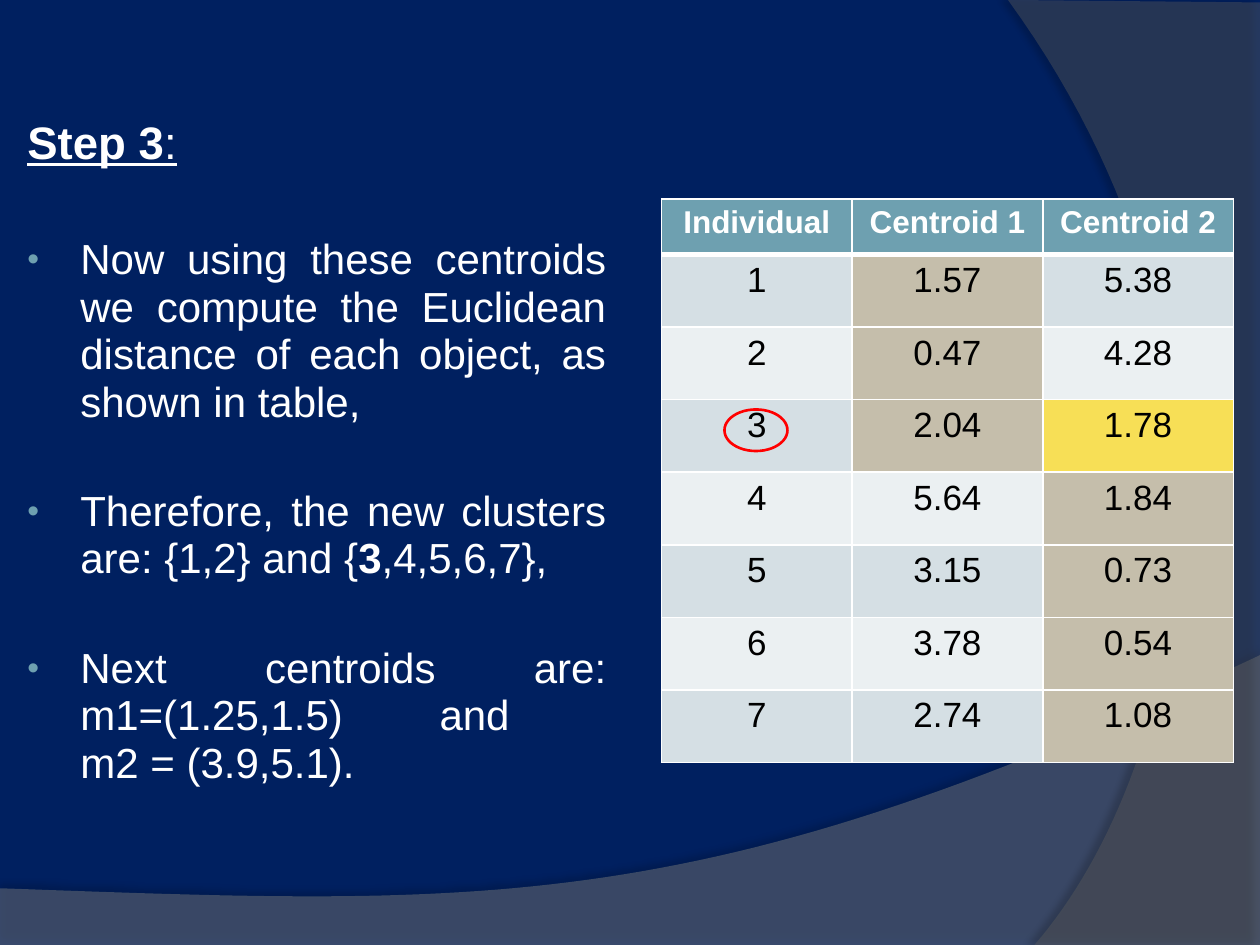
from dataclasses import dataclass

from lxml.etree import SubElement
from pptx import Presentation
from pptx.dml.color import RGBColor
from pptx.enum.shapes import MSO_SHAPE
from pptx.enum.text import MSO_ANCHOR, PP_ALIGN
from pptx.oxml.ns import qn
from pptx.slide import Slide
from pptx.table import _Cell
from pptx.text.text import _Paragraph
from pptx.util import Inches, Pt

NAVY = RGBColor(0x00, 0x20, 0x60)
WHITE = RGBColor(0xFF, 0xFF, 0xFF)
BLACK = RGBColor(0x00, 0x00, 0x00)
RED = RGBColor(0xFF, 0x00, 0x00)
TEAL = RGBColor(0x6E, 0xA0, 0xB0)
BAND_DARK = RGBColor(0xD5, 0xDF, 0xE4)
BAND_LIGHT = RGBColor(0xEB, 0xF0, 0xF2)
TAN = RGBColor(0xC5, 0xBE, 0xAB)
YELLOW = RGBColor(0xF7, 0xDF, 0x56)
GRAY = RGBColor(0x7F, 0x7F, 0x7F)
DARK_GRAY = RGBColor(0x5E, 0x5E, 0x5E)
FONT = "Arial"

Point = tuple[float, float]


@dataclass
class Swoosh:
    corners: list[Point]
    curve: list[Point]
    color: RGBColor
    opacity: int
    shadow_opacity: int
    shadow_distance: float
    shadow_angle: int


@dataclass
class Bullet:
    pieces: list[tuple[str, bool]]
    gap: float


@dataclass
class Distance:
    individual: int
    first: float
    second: float


SWOOSHES = [
    Swoosh([(0, 7.5), (10, 7.5)], [(10, 5.2), (5.59, 7.29), (3.91, 7.19), (0, 7.05)],
           GRAY, 45, 35, 3.5, 270),
    Swoosh([(10, 0.02), (10, 7.5)], [(8.21, 7.5), (9.35, 6.19), (10.18, 3), (8, 0)],
           DARK_GRAY, 40, 45, 4, 180),
]
BULLETS = [
    Bullet([("Now using these centroids we compute the Euclidean distance of each "
             "object, as shown in table,", False)], 38.5),
    Bullet([("Therefore, the new clusters are: {1,2} and {", False), ("3", True),
            (",4,5,6,7},", False)], 35.5),
    Bullet([("Next centroids are: m1=(1.25,1.5) and \vm2 = (3.9,5.1).", False)], 35.5),
]
HEADERS = ["Individual", "Centroid 1", "Centroid 2"]
DISTANCES = [
    Distance(1, 1.57, 5.38),
    Distance(2, 0.47, 4.28),
    Distance(3, 2.04, 1.78),
    Distance(4, 5.64, 1.84),
    Distance(5, 3.15, 0.73),
    Distance(6, 3.78, 0.54),
    Distance(7, 2.74, 1.08),
]
MOVED_INDIVIDUAL = 3


def curve_points(curve: list[Point], steps: int = 60) -> list[Point]:
    points = []
    for step in range(steps + 1):
        t = step / steps
        weights = ((1 - t) ** 3, 3 * t * (1 - t) ** 2, 3 * t ** 2 * (1 - t), t ** 3)
        points.append((sum(w * x for w, (x, _) in zip(weights, curve)),
                       sum(w * y for w, (_, y) in zip(weights, curve))))
    return points


def add_swoosh(slide: Slide, swoosh: Swoosh) -> None:
    outline = [(Inches(x), Inches(y))
               for x, y in swoosh.corners + curve_points(swoosh.curve)]
    builder = slide.shapes.build_freeform(*outline[0])
    builder.add_line_segments(outline[1:], close=True)
    shape = builder.convert_to_shape()
    shape.fill.solid()
    shape.fill.fore_color.rgb = swoosh.color
    shape.line.fill.background()
    shape.shadow.inherit = False
    properties = shape._element.spPr
    fill_color = properties.find(qn("a:solidFill")).find(qn("a:srgbClr"))
    SubElement(fill_color, qn("a:alpha"), val=str(swoosh.opacity * 1000))
    shadow = SubElement(properties.find(qn("a:effectLst")), qn("a:outerShdw"),
                        blurRad=str(Pt(4)), dist=str(Pt(swoosh.shadow_distance)),
                        dir=str(swoosh.shadow_angle * 60000), rotWithShape="0")
    shadow_color = SubElement(shadow, qn("a:srgbClr"), val=str(BLACK))
    SubElement(shadow_color, qn("a:alpha"), val=str(swoosh.shadow_opacity * 1000))


def add_span(para: _Paragraph, text: str, size: int, bold: bool,
             underline: bool = False) -> None:
    span = para.add_run()
    span.text = text
    span.font.name = FONT
    span.font.size = Pt(size)
    span.font.bold = bold
    span.font.underline = underline
    span.font.color.rgb = WHITE


def format_bullet(para: _Paragraph) -> None:
    properties = para._p.get_or_add_pPr()
    color = SubElement(properties, qn("a:buClr"))
    SubElement(color, qn("a:srgbClr"), val=str(TEAL))
    SubElement(properties, qn("a:buSzPct"), val="80000")
    SubElement(properties, qn("a:buFont"), typeface=FONT)
    SubElement(properties, qn("a:buChar"), char="•")


def add_steps(slide: Slide) -> None:
    box = slide.shapes.add_textbox(Inches(0.08), Inches(0.38), Inches(4.83), Inches(6.54))
    frame = box.text_frame
    frame.word_wrap = True
    frame.vertical_anchor = MSO_ANCHOR.TOP
    frame.margin_top = Inches(0.56)
    heading = frame.paragraphs[0]
    add_span(heading, "Step 3", 26, True, True)
    add_span(heading, ":", 26, False, True)
    for bullet in BULLETS:
        para = frame.add_paragraph()
        para.alignment = PP_ALIGN.JUSTIFY
        para.space_before = Pt(bullet.gap)
        for position, (text, bold) in enumerate(bullet.pieces):
            for line_number, line in enumerate(text.split("\v")):
                if line_number:
                    para.add_line_break()
                add_span(para, line, 24, bold)
    for para in frame.paragraphs:
        para.line_spacing = 0.94
        properties = para._p.get_or_add_pPr()
        properties.set("marL", str(Inches(0.46)))
        properties.set("indent", str(Inches(-0.42)))
    for para in frame.paragraphs[1:]:
        format_bullet(para)


def format_cell(cell: _Cell, text: str, fill: RGBColor, header: bool,
                below_header: bool) -> None:
    cell.text_frame.text = text
    para = cell.text_frame.paragraphs[0]
    para.alignment = PP_ALIGN.CENTER
    font = para.runs[0].font
    font.name = FONT
    font.size = Pt(18 if header else 20)
    font.bold = header
    font.color.rgb = WHITE if header else BLACK
    properties = cell._tc.get_or_add_tcPr()
    thick_side = "lnB" if header else "lnT" if below_header else None
    for side in ("lnL", "lnR", "lnT", "lnB"):
        width = Pt(3 if side == thick_side else 1)
        border = SubElement(properties, qn(f"a:{side}"), w=str(width))
        SubElement(SubElement(border, qn("a:solidFill")), qn("a:srgbClr"), val=str(WHITE))
    cell.fill.solid()
    cell.fill.fore_color.rgb = fill


def add_distance_table(slide: Slide) -> None:
    table = slide.shapes.add_table(len(DISTANCES) + 1, len(HEADERS), Inches(5.25),
                                   Inches(1.58), Inches(4.54), Inches(4.47)).table
    for column in table.columns:
        column.width = Inches(4.54 / len(HEADERS))
    for row in table.rows:
        row.height = Inches(0.576)
    table.rows[0].height = Inches(0.44)
    for column, header in enumerate(HEADERS):
        format_cell(table.cell(0, column), header, TEAL, True, False)
    for row, distance in enumerate(DISTANCES, start=1):
        fills = [BAND_DARK if row % 2 else BAND_LIGHT] * len(HEADERS)
        fills[1 if distance.first < distance.second else 2] = TAN
        if distance.individual == MOVED_INDIVIDUAL:
            fills[1:] = [TAN, YELLOW]
        texts = [str(distance.individual), f"{distance.first:.2f}", f"{distance.second:.2f}"]
        for column, (text, fill) in enumerate(zip(texts, fills)):
            format_cell(table.cell(row, column), text, fill, False, row == 1)


def add_marker(slide: Slide) -> None:
    marker = slide.shapes.add_shape(MSO_SHAPE.OVAL, Inches(5.75), Inches(3.25),
                                    Inches(0.5), Inches(0.33))
    marker.fill.background()
    marker.line.color.rgb = RED
    marker.line.width = Pt(1.5)
    marker.shadow.inherit = False


def main() -> None:
    deck = Presentation()
    deck.slide_width = Inches(10)
    deck.slide_height = Inches(7.5)
    slide = deck.slides.add_slide(deck.slide_layouts[6])
    slide.background.fill.solid()
    slide.background.fill.fore_color.rgb = NAVY
    for swoosh in SWOOSHES:
        add_swoosh(slide, swoosh)
    add_distance_table(slide)
    add_steps(slide)
    add_marker(slide)
    deck.save("out.pptx")


if __name__ == "__main__":
    main()
